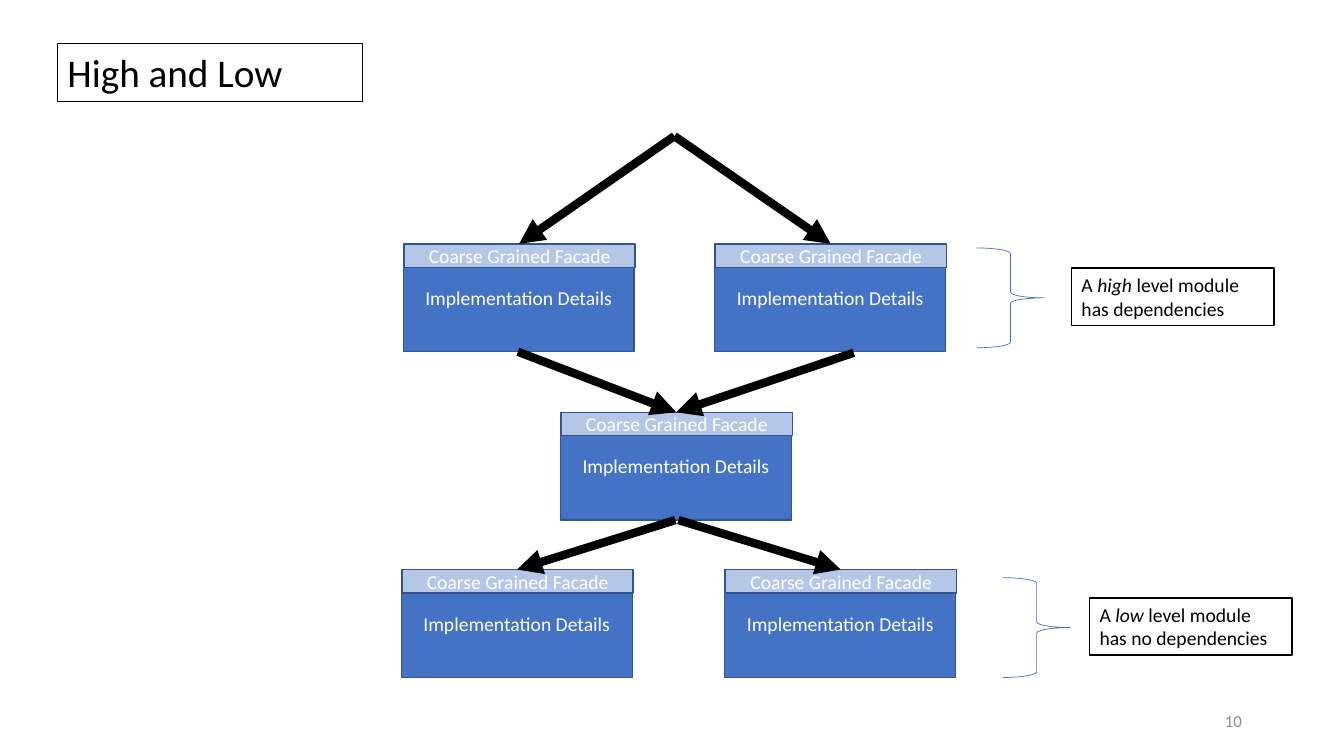
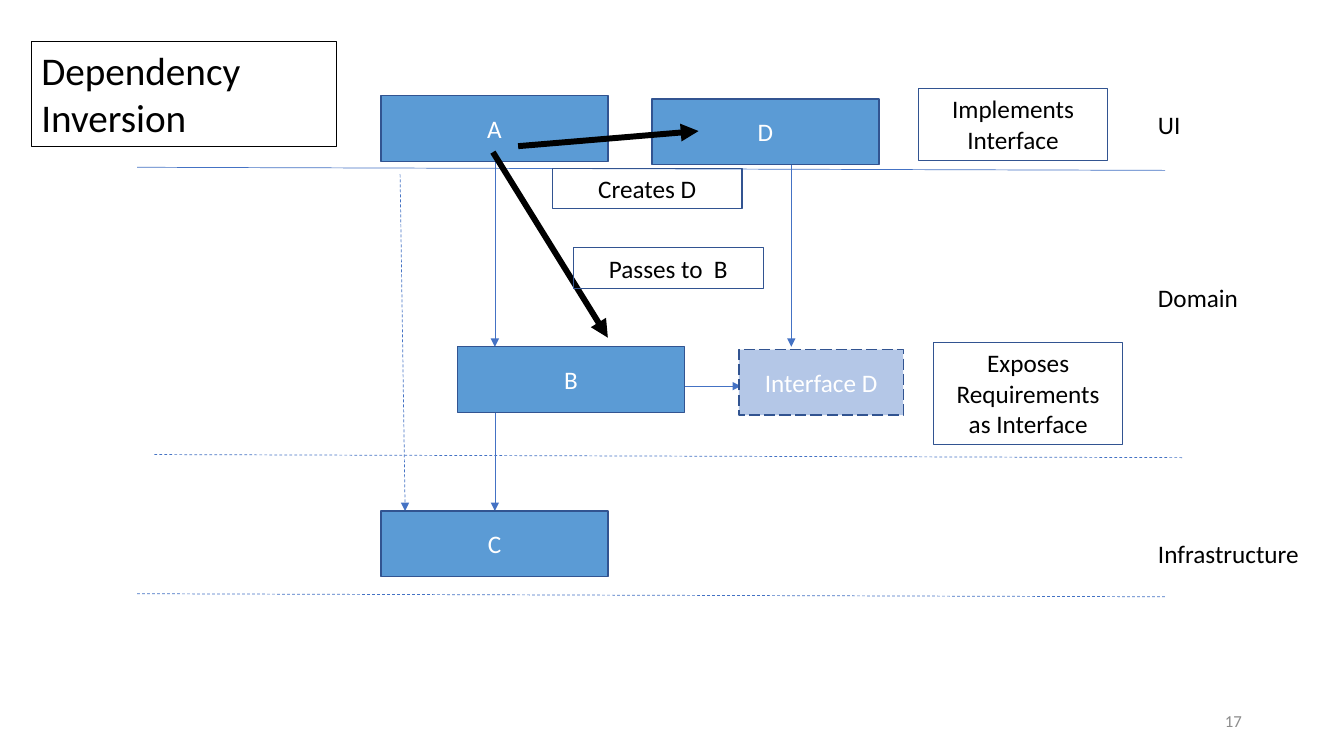
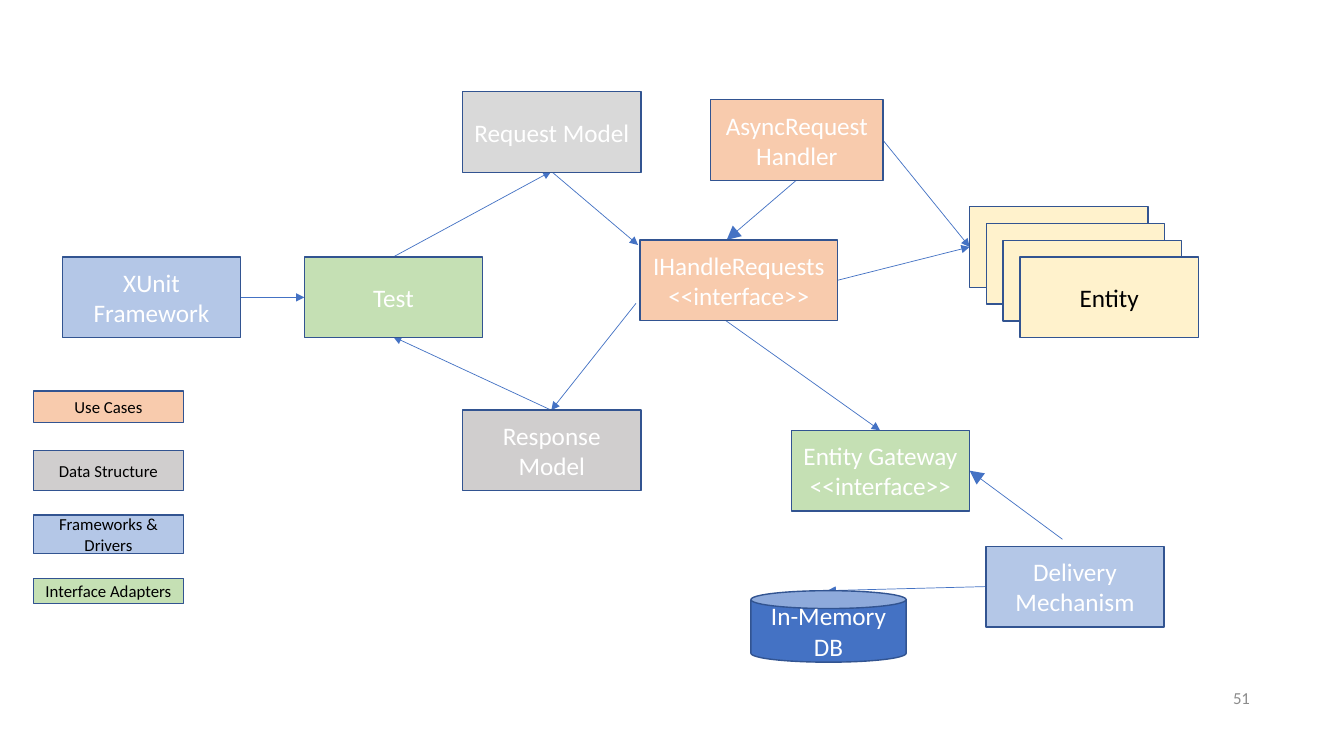
from dataclasses import dataclass

import lxml.etree
import pptx
import pptx.dml.color
import pptx.enum.dml
import pptx.enum.shapes
import pptx.enum.text
import pptx.oxml.ns
import pptx.util

Pt = pptx.util.Pt
SHAPE = pptx.enum.shapes.MSO_SHAPE
ALIGN = pptx.enum.text.PP_ALIGN
ANCHOR = pptx.enum.text.MSO_ANCHOR
DASH = pptx.enum.dml.MSO_LINE

FONT = "Calibri"
COLORS = {
    "black": "000000", "white": "FFFFFF", "number": "8C8C8C",
    "blue": "4472C4", "edge": "325491", "sky": "5B9BD5", "pale": "B4C7E7",
    "silver": "D9D9D9", "gray": "D0CECE", "peach": "F8CBAD",
    "green": "C5E0B4", "cream": "FFF2CC",
}
TITLE_ONLY, BLANK = 5, 6


@dataclass
class Box:
    """A rectangle or other preset; *asterisks* in its text mark italics."""
    text: str
    left: float
    top: float
    width: float
    height: float
    fill: str | None = None
    edge: str | None = "edge"
    edge_width: float = 1
    color: str = "white"
    size: float = 18
    align: ALIGN = ALIGN.CENTER
    anchor: ANCHOR = ANCHOR.MIDDLE
    kind: SHAPE = SHAPE.RECTANGLE
    dash: DASH | None = None


@dataclass
class Line:
    start: tuple[float, float]
    end: tuple[float, float]
    color: str = "blue"
    width: float = 0.5
    dash: DASH | None = None
    head: str | None = "med"


# Shared drawing functions
def rgb(name: str) -> pptx.dml.color.RGBColor:
    return pptx.dml.color.RGBColor.from_string(COLORS[name])


def place(shape, left: float, top: float, width: float, height: float) -> None:
    shape.left, shape.top = Pt(left), Pt(top)
    shape.width, shape.height = Pt(width), Pt(height)


def write(shape, box: Box) -> None:
    frame = shape.text_frame
    frame.word_wrap = True
    frame.auto_size = pptx.enum.text.MSO_AUTO_SIZE.NONE
    frame.vertical_anchor = box.anchor
    for index, content in enumerate(box.text.split("\n")):
        para = frame.add_paragraph() if index else frame.paragraphs[0]
        para.alignment = box.align
        para.font.name, para.font.size = FONT, Pt(box.size)
        para.font.color.rgb = rgb(box.color)
        for position, part in enumerate(content.split("*")):
            span = para.add_run()
            span.text = part
            if position % 2:
                span.font.italic = True


def draw_box(page, box: Box) -> None:
    shape = page.shapes.add_shape(box.kind, 0, 0, 0, 0)
    place(shape, box.left, box.top, box.width, box.height)
    shape.shadow.inherit = False
    if box.fill:
        shape.fill.solid()
        shape.fill.fore_color.rgb = rgb(box.fill)
    else:
        shape.fill.background()
    shape.line.color.rgb = rgb(box.edge)
    shape.line.width = Pt(box.edge_width)
    if box.dash:
        shape.line.dash_style = box.dash
    if box.text:
        write(shape, box)


def draw_line(page, line: Line) -> None:
    connector = page.shapes.add_connector(
        pptx.enum.shapes.MSO_CONNECTOR.STRAIGHT,
        *(Pt(value) for value in line.start + line.end))
    connector.line.color.rgb = rgb(line.color)
    connector.line.width = Pt(line.width)
    if line.dash:
        connector.line.dash_style = line.dash
    qn = pptx.oxml.ns.qn
    properties = connector.element.spPr
    if line.head:
        lxml.etree.SubElement(properties.find(qn("a:ln")), qn("a:tailEnd"),
                              type="triangle", w=line.head, len=line.head)
    lxml.etree.SubElement(properties, qn("a:effectLst"))


def draw_label(page, label: Box) -> None:
    shape = page.shapes.add_textbox(0, 0, 0, 0)
    place(shape, label.left, label.top, label.width, label.height)
    write(shape, label)


def add_page(deck, number: str, left: float = 678.2, top: float = 500.4,
             title: Box | None = None):
    page = deck.slides.add_slide(deck.slide_layouts[TITLE_ONLY if title else BLANK])
    if title:
        shape = page.shapes.title
        place(shape, title.left, title.top, title.width, title.height)
        shape.line.color.rgb = rgb(title.edge)
        shape.line.width = Pt(title.edge_width)
        write(shape, title)
    draw_label(page, Box(number, left, top, 216, 28.8, color="number", size=12,
                         align=ALIGN.RIGHT))
    return page


def title_box(text: str, left: float, top: float, height: float) -> Box:
    return Box(text, left, top, 218.2, height, edge="black", edge_width=0.75,
               color="black", size=28, align=ALIGN.LEFT, anchor=ANCHOR.TOP)


# Slide: modules and their levels
def high_and_low(deck) -> None:
    page = add_page(deck, "10", title=title_box("High and Low", 41, 31, 41.2))

    modules = [(510.5, 174.2), (288, 174.2), (400.3, 294.5),
               (286.6, 406.8), (517.7, 406.8)]
    for left, top in modules:
        draw_box(page, Box("Implementation Details", left, top, 165, 77,
                           fill="blue", size=14))
        draw_box(page, Box("Coarse Grained Facade", left + 0.7, top, 165, 16.8,
                           fill="pale", size=14))

    dependencies = [
        ((481.7, 97.2), (593.3, 174.2)), ((481.7, 97.2), (370.8, 174.2)),
        ((370, 251.3), (483, 294.5)), ((609.8, 252), (483, 294.5)),
        ((482.4, 371.5), (369.4, 406.8)), ((484.6, 371.5), (600.5, 406.8)),
    ]
    for start, end in dependencies:
        draw_line(page, Line(start, end, color="black", width=6))

    levels = [("A *high* level module has dependencies", 697.7, 177.1),
              ("A *low* level module has no dependencies", 716.4, 412.6)]
    for text, left, top in levels:
        draw_box(page, Box("", left, top, 48.2, 71.3, edge="blue",
                           edge_width=0.5, kind=SHAPE.RIGHT_BRACE))
        note_left, note_top = left + 67.7 - 5.8 * (top > 300), top + 14.4
        draw_box(page, Box(text, note_left, note_top, 144.7, 41, edge="black",
                           edge_width=1.25, color="black", size=14,
                           align=ALIGN.LEFT, anchor=ANCHOR.TOP))


# Slide: layers with an inverted dependency
def dependency_inversion(deck) -> None:
    page = add_page(deck, "17",
                    title=title_box("Dependency Inversion", 22.3, 29.5, 74.9))

    for left, top, dash in [(97.9, 119.5, None), (110.2, 324.7, DASH.DASH),
                            (97.9, 424.1, DASH.DASH)]:
        draw_line(page, Line((left, top), (left + 734.4, top + 2.2),
                             dash=dash, head=None))
    for text, top in [("UI", 74.9), ("Domain", 198), ("Infrastructure", 380.9)]:
        draw_label(page, Box(text, 820.1, top, 139, 28.8, color="black",
                             align=ALIGN.LEFT, anchor=ANCHOR.TOP))

    draw_line(page, Line((285.8, 124.6), (289.4, 365), dash=DASH.DASH))
    for start, end in [((353.5, 115.2), (353.5, 247.7)),
                       ((353.5, 295.2), (353.5, 365)),
                       ((565.2, 115.2), (565.2, 247.7))]:
        draw_line(page, Line(start, end))

    for text, left, top in [("A", 272.2, 68.4), ("B", 326.9, 247.7),
                            ("C", 272.2, 365), ("D", 465.8, 70.6)]:
        draw_box(page, Box(text, left, top, 162, 46.8, fill="sky"))
    draw_line(page, Line((489.6, 275.8), (529.2, 275.8)))
    draw_box(page, Box("Interface D", 527.8, 249.8, 117.4, 46.8, fill="pale",
                       dash=DASH.LONG_DASH))

    for start, end in [((370.1, 104.4), (499, 93.6)),
                       ((352.1, 108.7), (434.2, 241.2))]:
        draw_line(page, Line(start, end, color="black", width=4.25))

    notes = [("Exposes Requirements as Interface", 666.7, 244.8, 72.7),
             ("Implements Interface", 655.9, 63.4, 51.1),
             ("Creates D", 394.6, 120.2, 28.8),
             ("Passes to  B", 409.7, 177.1, 28.8)]
    for text, left, top, height in notes:
        draw_box(page, Box(text, left, top, 135.4, height, edge_width=0.75,
                           color="black", anchor=ANCHOR.TOP))


# Slide: test-driven ports and adapters
def ports_and_adapters(deck) -> None:
    page = add_page(deck, "51", 684, 483.8)
    node_width, node_height = 127.4, 57.6

    flows = [
        ((598.3, 200.2), (692.6, 176.4)), ((518.4, 229), (628.6, 307.4)),
        ((454.3, 216.7), (393.8, 293)), ((393.8, 293), (280.8, 240.5)),
        ((172.1, 212.4), (217.4, 212.4)), ((704.2, 419), (591.1, 421.9)),
        ((630.7, 100.1), (692.6, 176.4)), ((280.8, 183.6), (393.8, 122.4)),
        ((393.8, 122.4), (455.8, 175)),
    ]
    for start, end in flows:
        draw_line(page, Line(start, end))
    for start, end in [((758.9, 385.2), (692.6, 336.2)),
                       ((569.5, 128.2), (519.1, 171.4))]:
        draw_line(page, Line(start, end, head="lg"))

    nodes = [
        ("XUnit\nFramework", 44.6, 183.6, node_width, "pale"),
        ("Test", 217.4, 183.6, node_width, "green"),
        ("Request Model", 330.5, 65.5, node_width, "silver"),
        ("Response Model", 330.5, 293, node_width, "gray"),
        ("IHandleRequests\n<<interface>>", 457.2, 171.4, 141.1, "peach"),
        ("AsyncRequestHandler", 507.6, 71.3, 123.1, "peach"),
        ("Entity Gateway\n<<interface>>", 565.2, 307.4, node_width, "green"),
        ("Delivery Mechanism", 704.2, 390.2, node_width, "pale"),
    ]
    for text, left, top, width, fill in nodes:
        draw_box(page, Box(text, left, top, width, node_height, fill=fill))
    draw_box(page, Box("In-Memory\nDB", 536.4, 421.9, 110.9, 51.1, fill="blue",
                       kind=SHAPE.CAN))

    # Stack of entities, labelled on the front card
    for index, text in enumerate(["", "", "", "Entity"]):
        draw_box(page, Box(text, 692.6 + 12 * index, 147.6 + 12 * index,
                           node_width, node_height, fill="cream", color="black"))

    # Legend
    legend = [("Use Cases", 279.4, 22.3, "peach"),
              ("Data Structure", 321.8, 28.8, "gray"),
              ("Frameworks & Drivers", 367.9, 27.4, "pale"),
              ("Interface Adapters", 413.3, 18, "green")]
    for text, top, height, fill in legend:
        draw_box(page, Box(text, 23.8, top, 107.3, height, fill=fill,
                           color="black", size=12))


def main() -> None:
    deck = pptx.Presentation()
    deck.slide_width, deck.slide_height = Pt(960), Pt(540)
    high_and_low(deck)
    dependency_inversion(deck)
    ports_and_adapters(deck)
    deck.save("out.pptx")


if __name__ == "__main__":
    main()
